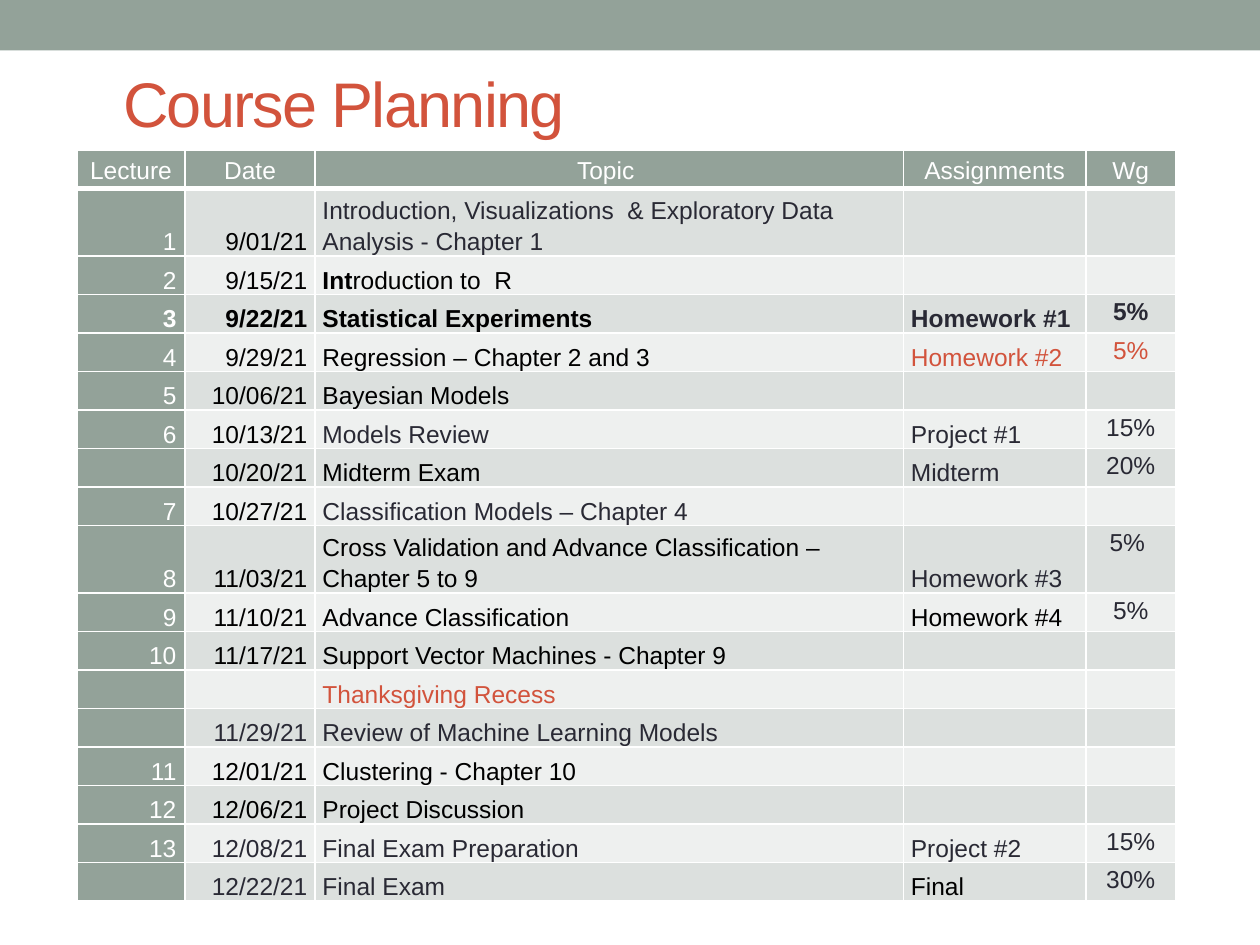
from lxml.etree import SubElement
from pptx import Presentation
from pptx.dml.color import RGBColor
from pptx.enum.shapes import MSO_SHAPE
from pptx.enum.text import MSO_ANCHOR, PP_ALIGN
from pptx.oxml.ns import qn
from pptx.util import Inches, Pt

THEME = {
    "font": "Arial",
    "title_size": 36,
    "table_size": 14,
    "sage": "93A299",
    "red": "D2533C",
    "dark": "292934",
    "black": "000000",
    "white": "FFFFFF",
    "bands": ("DCE0DE", "EEF0EF"),
}

TITLE = "Course Planning"
HEADERS = ["Lecture", "Date", "Topic ", "Assignments", "Wg"]
LECTURES = [
    ["1", "9/01/21", ("Introduction, Visualizations  & Exploratory Data Analysis - Chapter 1", "dark"), "", ""],
    ["2", "9/15/21", "Introduction to  R", "", ""],
    ["3", "9/22/21", "Statistical Experiments", "Homework #1", "5%"],
    ["4", "9/29/21", "Regression – Chapter 2 and 3", ("Homework #2", "red"), ("5%", "red")],
    ["5", "10/06/21", "Bayesian Models", "", ""],
    ["6", "10/13/21", ("Models Review", "dark"), "Project #1", "15%"],
    ["", "10/20/21", "Midterm Exam", "Midterm", "20%"],
    ["7", "10/27/21", ("Classification Models – Chapter 4", "dark"), "", ""],
    ["8", "11/03/21", "Cross Validation and Advance Classification – Chapter 5 to 9", "Homework #3", "5% "],
    ["9", "11/10/21", "Advance Classification", ("Homework #4 ", "black"), "5%"],
    ["10", "11/17/21", "Support Vector Machines - Chapter 9", "", ""],
    ["", "", ("Thanksgiving Recess", "red"), "", ""],
    ["", ("11/29/21", "dark"), ("Review of Machine Learning Models", "dark"), "", ""],
    ["11", "12/01/21", "Clustering - Chapter 10", "", ""],
    ["12", "12/06/21", "Project Discussion", "", ""],
    ["13", ("12/08/21", "dark"), ("Final Exam Preparation", "dark"), "Project #2", "15%"],
    ["", ("12/22/21", "dark"), ("Final Exam", "dark"), ("Final", "black"), "30%"],
]
BOLD_LECTURE = "3"
BOLD_PREFIXES = {"Introduction to  R": "Int"}

COLUMNS = [
    (0.86, 0.07, PP_ALIGN.RIGHT, MSO_ANCHOR.BOTTOM, "white"),
    (1.03, 0.06, PP_ALIGN.RIGHT, MSO_ANCHOR.BOTTOM, "black"),
    (4.67, 0.06, PP_ALIGN.LEFT, MSO_ANCHOR.BOTTOM, "black"),
    (1.45, 0.06, PP_ALIGN.LEFT, MSO_ANCHOR.BOTTOM, "dark"),
    (0.71, 0.07, PP_ALIGN.CENTER, MSO_ANCHOR.TOP, "dark"),
]
TABLE_LEFT, TABLE_TOP, TABLE_HEIGHT = 0.61, 1.19, 5.93
TALL_ROWS, TALL_HEIGHT = (1, 9), 0.52


def style_font(font, size, color, bold=False):
    font.name = THEME["font"]
    font.size = Pt(size)
    font.bold = bold
    font.color.rgb = RGBColor.from_string(THEME[color])


def set_borders(cell, bottom_width):
    properties = cell._tc.get_or_add_tcPr()
    widths = {"a:lnL": 1, "a:lnR": 1, "a:lnT": 1, "a:lnB": bottom_width}
    for position, (tag, width) in enumerate(widths.items()):
        line = SubElement(properties, qn(tag), w=str(Pt(width)))
        properties.insert(position, line)
        fill = SubElement(line, qn("a:solidFill"))
        SubElement(fill, qn("a:srgbClr"), val=THEME["white"])


def fill_cell(cell, text, fill, margin, alignment, anchor, color, bold=False, bottom_width=1):
    cell.fill.solid()
    cell.fill.fore_color.rgb = RGBColor.from_string(fill)
    cell.margin_left = cell.margin_right = Inches(margin)
    cell.margin_top = cell.margin_bottom = 0
    cell.vertical_anchor = anchor
    set_borders(cell, bottom_width)
    paragraph = cell.text_frame.paragraphs[0]
    paragraph.alignment = alignment
    paragraph.line_spacing = 1.15
    style_font(paragraph.font, THEME["table_size"], color, bold)
    prefix = BOLD_PREFIXES.get(text, "")
    if prefix:
        run = paragraph.add_run()
        run.text = prefix
        run.font.bold = True
    if text:
        paragraph.add_run().text = text[len(prefix):]


def add_banner(slide, width):
    banner = slide.shapes.add_shape(MSO_SHAPE.RECTANGLE, 0, 0, width, Inches(0.4))
    banner.shadow.inherit = False
    banner.fill.solid()
    banner.fill.fore_color.rgb = RGBColor.from_string(THEME["sage"])
    banner.line.fill.background()


def add_title(slide):
    box = slide.shapes.add_textbox(Inches(0.88), Inches(0.43), Inches(8.25), Inches(0.76))
    frame = box.text_frame
    frame.word_wrap = True
    frame.vertical_anchor = MSO_ANCHOR.MIDDLE
    paragraph = frame.paragraphs[0]
    style_font(paragraph.font, THEME["title_size"], "red")
    run = paragraph.add_run()
    run.text = TITLE
    run._r.get_or_add_rPr().set("spc", "-100")


def add_schedule(slide):
    row_count = len(LECTURES) + 1
    table_width = sum(column[0] for column in COLUMNS)
    table = slide.shapes.add_table(
        row_count, len(COLUMNS), Inches(TABLE_LEFT), Inches(TABLE_TOP), Inches(table_width), Inches(TABLE_HEIGHT)
    ).table
    table.first_row = table.horz_banding = False
    row_height = (TABLE_HEIGHT - TALL_HEIGHT * len(TALL_ROWS)) / (row_count - len(TALL_ROWS))
    for index, row in enumerate(table.rows):
        row.height = Inches(TALL_HEIGHT if index in TALL_ROWS else row_height)
    for index, (width, margin, alignment, anchor, default_color) in enumerate(COLUMNS):
        table.columns[index].width = Inches(width)
        fill_cell(table.cell(0, index), HEADERS[index], THEME["sage"], 0.07,
                  PP_ALIGN.CENTER, MSO_ANCHOR.MIDDLE, "white", bottom_width=3)
        for row_index, lecture in enumerate(LECTURES):
            entry = lecture[index]
            text, color = entry if isinstance(entry, tuple) else (entry, default_color)
            fill = THEME["sage"] if index == 0 else THEME["bands"][row_index % 2]
            fill_cell(table.cell(row_index + 1, index), text, fill, margin,
                      alignment, anchor, color, bold=lecture[0] == BOLD_LECTURE)


def main():
    presentation = Presentation()
    presentation.slide_width = Inches(10)
    presentation.slide_height = Inches(7.5)
    slide = presentation.slides.add_slide(presentation.slide_layouts[6])
    add_banner(slide, presentation.slide_width)
    add_title(slide)
    add_schedule(slide)
    presentation.save("out.pptx")


if __name__ == "__main__":
    main()
